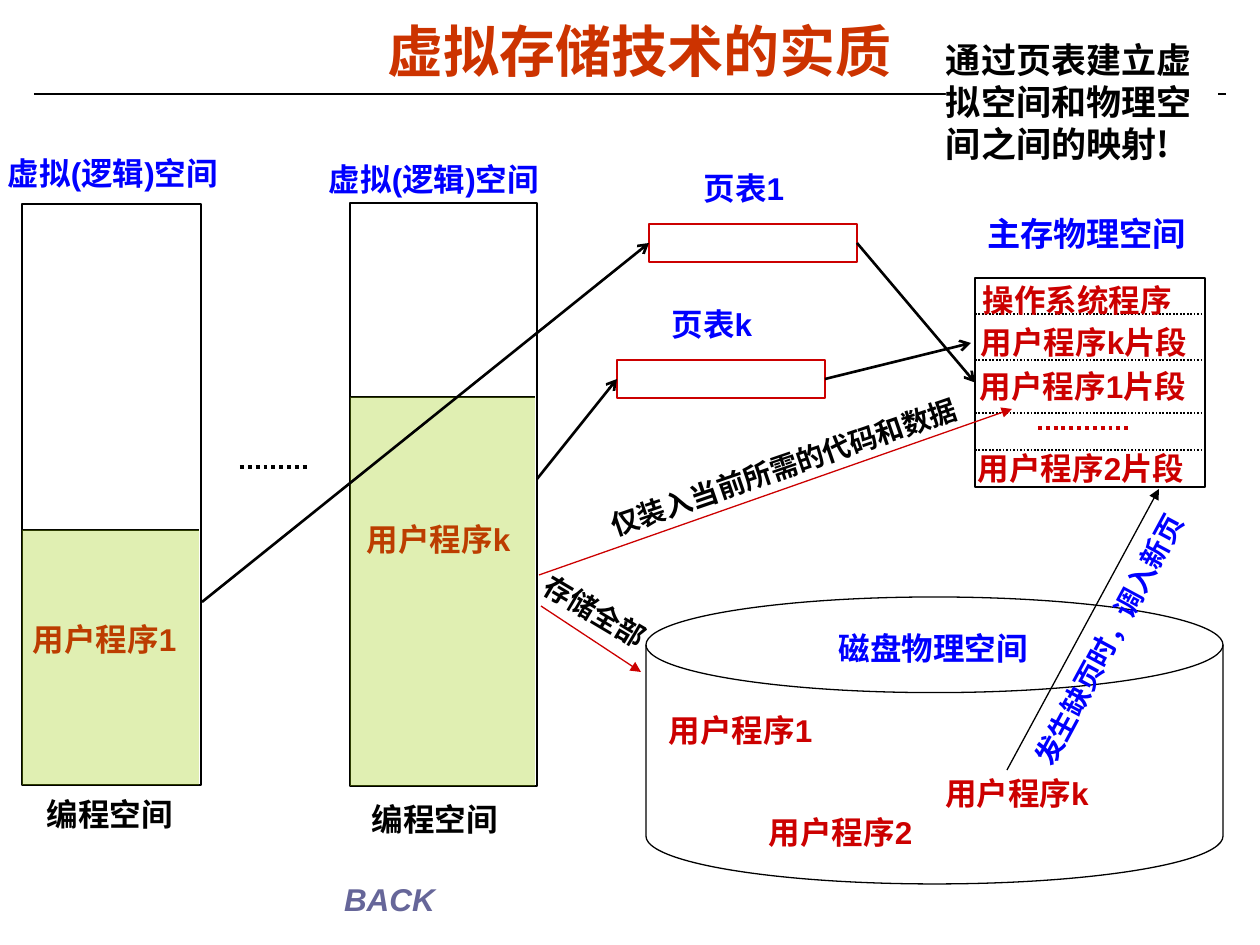
from lxml import etree
from pptx import Presentation
from pptx.dml.color import RGBColor
from pptx.enum.dml import MSO_LINE
from pptx.enum.shapes import MSO_CONNECTOR, MSO_SHAPE
from pptx.enum.text import MSO_ANCHOR, MSO_AUTO_SIZE, PP_ALIGN
from pptx.oxml.ns import qn
from pptx.util import Emu, Pt

SCALE = 914400 / 126
BLACK = RGBColor(0x00, 0x00, 0x00)
WHITE = RGBColor(0xFF, 0xFF, 0xFF)
RED = RGBColor(0xCC, 0x00, 0x00)
BLUE = RGBColor(0x00, 0x00, 0xFF)
GREEN = RGBColor(0x99, 0xCC, 0x00)
ORANGE = RGBColor(0xCC, 0x33, 0x00)
SLATE = RGBColor(0x66, 0x66, 0x99)
LATIN, HAN = "Arial", "Noto Sans CJK SC"
RECT, DISK = MSO_SHAPE.RECTANGLE, MSO_SHAPE.FLOWCHART_MAGNETIC_DISK
STRAIGHT = MSO_CONNECTOR.STRAIGHT
LEFT, CENTER = PP_ALIGN.LEFT, PP_ALIGN.CENTER
TOP, MIDDLE = MSO_ANCHOR.TOP, MSO_ANCHOR.MIDDLE
FIXED = MSO_AUTO_SIZE.NONE
DOTS = MSO_LINE.ROUND_DOT
LEFT_SIDE, RIGHT_SIDE = 1, 3


def px(*lengths):
    """Turn pixel lengths into EMU."""
    return [Emu(round(length * SCALE)) for length in lengths]


def write(frame, text, size=18, color=BLACK, align=LEFT, anchor=TOP,
          italic=False, latin=LATIN, spacing=None):
    """Put one bold formatted paragraph into a text frame."""
    frame.word_wrap = True
    frame.auto_size = FIXED
    frame.vertical_anchor = anchor
    frame.margin_left = frame.margin_right = 0
    frame.margin_top = frame.margin_bottom = 0
    para = frame.paragraphs[0]
    para.alignment = align
    para.line_spacing = spacing
    span = para.add_run()
    span.text = text
    font = span.font
    font.size, font.bold, font.italic = Pt(size), True, italic
    font.color.rgb = color
    font.name = latin
    etree.SubElement(font._element, qn("a:ea")).set("typeface", HAN)


def add_text(page, box, text, rotation=0, **style):
    """Add a text box at a pixel box."""
    label = page.shapes.add_textbox(*px(*box))
    label.rotation = rotation
    write(label.text_frame, text, **style)
    return label


def add_block(page, box, kind=RECT, fill=WHITE, line=BLACK, width=1.5,
              alpha=None):
    """Add a filled shape, with an outline unless line is None."""
    block = page.shapes.add_shape(kind, *px(*box))
    block.shadow.inherit = False
    block.fill.solid()
    block.fill.fore_color.rgb = fill
    if alpha is not None:
        color = block.fill._xPr.find(qn("a:solidFill"))[0]
        etree.SubElement(color, qn("a:alpha")).set("val", str(alpha * 1000))
    if line is None:
        block.line.fill.background()
    else:
        block.line.color.rgb = line
        block.line.width = Pt(width)
    return block


def add_line(page, start, end, color=BLACK, width=1.5, dash=None, head=None,
             source=None, target=None):
    """Add a straight line, with an arrowhead and joined ends if asked."""
    line = page.shapes.add_connector(STRAIGHT, *px(*start, *end))
    line.line.color.rgb = color
    line.line.width = Pt(width)
    if dash is not None:
        line.line.dash_style = dash
    if head:
        outline = line.line._get_or_add_ln()
        etree.SubElement(outline, qn("a:tailEnd")).set("type", head)
    etree.SubElement(line._element.spPr, qn("a:effectLst"))
    if source:
        line.begin_connect(source, RIGHT_SIDE)
    if target:
        line.end_connect(target, LEFT_SIDE)
    return line


def add_heading(page, box):
    """Place the title, the rule under it and the note at its right."""
    left, top, width, height = box
    add_line(page, (left + 1, top + 76), (left + 1193, top + 76))
    title = page.shapes.title
    title.left, title.top, title.width, title.height = px(*box)
    write(title.text_frame, "虚拟存储技术的实质", size=32, color=ORANGE,
          align=CENTER, anchor=MIDDLE, spacing=0.87)
    note = add_block(page, (left + 913, top + 21, 272, 126), line=None)
    write(note.text_frame, "通过页表建立虚拟空间和物理空间之间的映射!", size=20,
          latin=HAN)


def add_virtual_space(page, box, used, name, title_at, name_at, caption_at):
    """Draw a program's virtual space, with its lower part used."""
    left, top, width, height = box
    add_block(page, box)
    split = top + height - used
    add_line(page, (left, split), (left + width - 2, split))
    parts = [("虚拟(逻辑)空间", title_at, 241, 38, BLUE),
             (name, name_at, 147, 76, RED),
             ("编程空间", caption_at, 150, 38, BLACK)]
    for text, (across, down), wide, high, color in parts:
        add_text(page, (left + across, top + down, wide, high), text,
                 color=color)
    add_block(page, (left, split, width - 2, used), fill=GREEN, line=None,
              alpha=30)


def add_disk(page, box):
    """Draw the disk with the programs stored on it."""
    left, top, width, height = box
    add_block(page, box, kind=DISK, width=0.75)
    add_text(page, (left + 193, top + 32, 195, 38), "磁盘物理空间", color=BLUE)
    for name, across, down in (("1", 23, 114), ("k", 299, 177),
                               ("2", 123, 216)):
        add_text(page, (left + across, top + down, 147, 76),
                 f"用户程序{name}", color=RED)


def add_memory(page, box):
    """Draw main memory, split into program segments, and return it."""
    left, top, width, height = box
    add_text(page, (left + 12, top - 65, 260, 40), "主存物理空间", size=19,
             color=BLUE)
    memory = add_block(page, box)
    for down in (36, 82, 135, 172):
        add_line(page, (left, top + down), (left + width - 2, top + down),
                 width=1, dash=DOTS)
    for text, across, down in (("操作系统程序", 8, 3), ("用户程序k片段", 6, 45),
                               ("用户程序1片段", 5, 89),
                               ("用户程序2片段", 3, 171)):
        add_text(page, (left + across, top + down, 228, 38), text, color=RED)
    add_line(page, (left + 63, top + 150), (left + 154, top + 150),
             color=RED, width=2.25, dash=DOTS)
    return memory


def add_page_table(page, box, name, start, end, target=None):
    """Draw a page table with the arrows into and out of it."""
    left, top, width, height = box
    add_text(page, (left + 18, top - 55, 154, 38), name, color=BLUE,
             align=CENTER)
    table = add_block(page, box, line=RED)
    middle = top + height / 2
    add_line(page, (left + width, middle), end, head="arrow", source=table,
             target=target)
    add_line(page, start, (left, middle), head="arrow", target=table)


def add_transfer(page, start, end, box, text, rotation, line=RED, color=BLACK):
    """Draw a data transfer arrow with slanted wording beside it."""
    add_line(page, start, end, color=line, width=0.75, head="triangle")
    add_text(page, box, text, rotation=rotation, size=16, color=color)


def main():
    """Build the slide and save it."""
    deck = Presentation()
    deck.slide_width, deck.slide_height = px(1260, 945)
    page = deck.slides.add_slide(deck.slide_layouts[5])
    add_heading(page, (33, 18, 1213, 73))
    add_virtual_space(page, (350, 203, 187, 583), 389, "用户程序k",
                      (-21, -43), (17, 317), (22, 597))
    add_virtual_space(page, (22, 204, 179, 581), 255, "用户程序1",
                      (-14, -50), (11, 416), (25, 591))
    add_line(page, (240, 467), (308, 467), width=2.25, dash=DOTS)
    add_disk(page, (646, 597, 577, 287))
    memory = add_memory(page, (975, 278, 230, 209))
    add_transfer(page, (539, 575), (1012, 409), (602, 449, 369, 34),
                 "仅装入当前所需的代码和数据", -18.9)
    add_transfer(page, (541, 606), (641, 672), (539, 597, 123, 34),
                 "存储全部", 30.7)
    add_transfer(page, (1007, 770), (1159, 489), (945, 583, 369, 34),
                 "发生缺页时，调入新页", -61.8, line=BLACK, color=BLUE)
    add_text(page, (344, 880, 260, 38), "BACK", color=SLATE, italic=True)
    add_page_table(page, (649, 224, 208, 38), "页表1", (202, 602), (975, 383),
                   target=memory)
    add_page_table(page, (617, 360, 208, 38), "页表k", (537, 479), (971, 343))
    deck.save("out.pptx")


if __name__ == "__main__":
    main()
